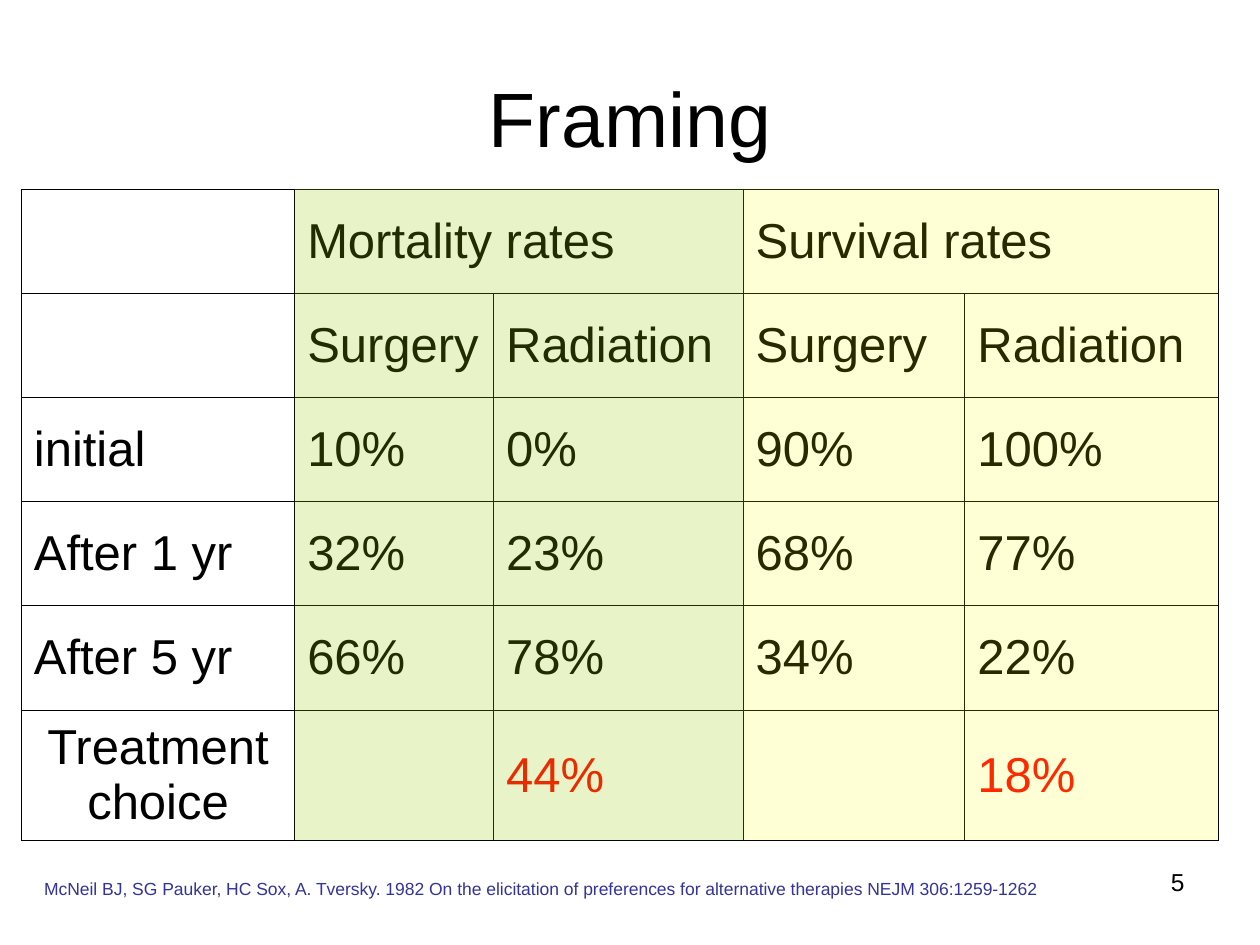
from lxml import etree
from pptx import Presentation
from pptx.dml import color
from pptx.enum import shapes, text
from pptx.oxml import ns
from pptx.util import Cm, Pt

BLACK, RED, NAVY = "000000", "FF0000", "333399"
LEFT, CENTER, RIGHT = text.PP_ALIGN.LEFT, text.PP_ALIGN.CENTER, text.PP_ALIGN.RIGHT

TABLE_LEFT, TABLE_TOP = 0.43, 3.81
COLUMN_WIDTHS = [5.51, 4.01, 5.03, 4.47, 5.11]
ROW_HEIGHTS = [2.1] * 5 + [2.63]
RATES = [
    ["", "Mortality rates", "", "Survival rates", ""],
    ["", "Surgery", "Radiation", "Surgery", "Radiation"],
    ["initial", "10%", "0%", "90%", "100%"],
    ["After 1 yr", "32%", "23%", "68%", "77%"],
    ["After 5 yr", "66%", "78%", "34%", "22%"],
    ["Treatment choice", "", "44%", "", "18%"],
]
CITATION = ("McNeil BJ, SG Pauker, HC Sox, A. Tversky. 1982 On the elicitation of "
            "preferences for alternative therapies NEJM 306:1259-1262")


def rgb(value):
    return color.RGBColor.from_string(value)


class SlideBuilder:
    """Holds the text style and the current slide."""

    def __init__(self, slide, font="Arial"):
        self.slide = slide
        self.font = font

    def fill_text(self, frame, words, size, colour=BLACK, align=LEFT, before=0):
        paragraph = frame.paragraphs[0]
        paragraph.alignment = align
        paragraph.space_before = Pt(before)
        run = paragraph.add_run()
        run.text = words
        run.font.name = self.font
        run.font.size = Pt(size)
        run.font.color.rgb = rgb(colour)

    def text_box(self, box, words, size, anchor=text.MSO_ANCHOR.TOP, **style):
        shape = self.slide.shapes.add_textbox(*map(Cm, box))
        shape.text_frame.word_wrap = True
        shape.text_frame.vertical_anchor = anchor
        self.fill_text(shape.text_frame, words, size, **style)

    def tint(self, box, colour, opacity):
        """Lay a see-through rectangle over part of the slide."""
        shape = self.slide.shapes.add_shape(shapes.MSO_SHAPE.RECTANGLE, *map(Cm, box))
        shape.shadow.inherit = False
        shape.line.fill.background()
        shape.fill.solid()
        shape.fill.fore_color.rgb = rgb(colour)
        fill_colour = shape.element.spPr.find(".//" + ns.qn("a:srgbClr"))
        etree.SubElement(fill_colour, ns.qn("a:alpha"), val=str(opacity * 1000))

    def border(self, cell, colour=BLACK, width=0.45):
        properties = cell._tc.get_or_add_tcPr()
        for index, side in enumerate(("lnL", "lnR", "lnT", "lnB")):
            line = etree.Element(ns.qn("a:" + side), w=str(int(Pt(width))))
            fill = etree.SubElement(line, ns.qn("a:solidFill"))
            etree.SubElement(fill, ns.qn("a:srgbClr"), val=colour)
            properties.insert(index, line)

    def table(self, left, top, widths, heights, rows, merges):
        """Draw a ruled table; merges lists (row, first column, last column)."""
        box = (left, top, sum(widths), sum(heights))
        table = self.slide.shapes.add_table(len(rows), len(widths), *map(Cm, box)).table
        table.first_row = table.horz_banding = False
        for column, width in zip(table.columns, widths):
            column.width = Cm(width)
        for row, height in zip(table.rows, heights):
            row.height = Cm(height)
        for row, first, last in merges:
            table.cell(row, first).merge(table.cell(row, last))
        for i, row in enumerate(rows):
            for j, words in enumerate(row):
                cell = table.cell(i, j)
                cell.fill.background()
                cell.vertical_anchor = text.MSO_ANCHOR.MIDDLE
                self.border(cell)
                if words:
                    is_last = i == len(rows) - 1
                    self.fill_text(cell.text_frame, words, 28, before=7,
                                   colour=RED if is_last and j else BLACK,
                                   align=CENTER if is_last and not j else LEFT)


def main():
    presentation = Presentation()
    presentation.slide_width, presentation.slide_height = Cm(25.4), Cm(19.05)
    builder = SlideBuilder(presentation.slides.add_slide(presentation.slide_layouts[6]))

    builder.text_box((1.27, 0.76, 22.86, 3.18), "Framing", 44,
                     anchor=text.MSO_ANCHOR.MIDDLE, align=CENTER)
    builder.table(TABLE_LEFT, TABLE_TOP, COLUMN_WIDTHS, ROW_HEIGHTS, RATES,
                  merges=[(0, 1, 2), (0, 3, 4)])
    builder.text_box((0.64, 17.58, 22.66, 0.69), CITATION, 10, colour=NAVY, before=6.2)

    height = sum(ROW_HEIGHTS)
    mortality_left = TABLE_LEFT + COLUMN_WIDTHS[0]
    survival_left = TABLE_LEFT + sum(COLUMN_WIDTHS[:3])
    table_right = TABLE_LEFT + sum(COLUMN_WIDTHS)
    builder.tint((survival_left, TABLE_TOP, table_right - survival_left, height),
                 "FFFF00", 16)
    builder.tint((mortality_left, TABLE_TOP, survival_left - mortality_left, height),
                 "99CC00", 22)
    builder.text_box((18.21, 17.35, 5.92, 1.32), "5", 14, align=RIGHT)
    presentation.save("out.pptx")


if __name__ == "__main__":
    main()
